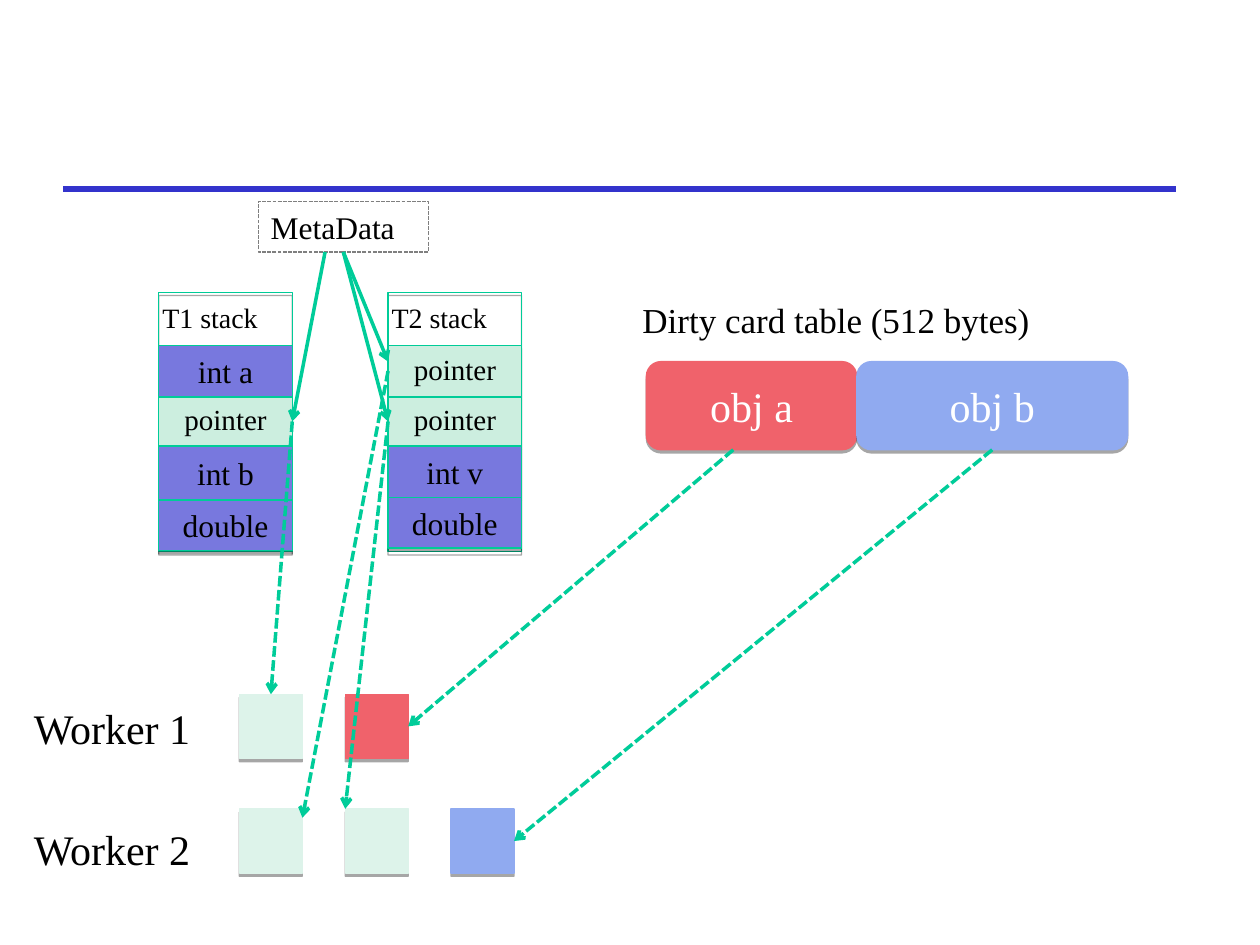
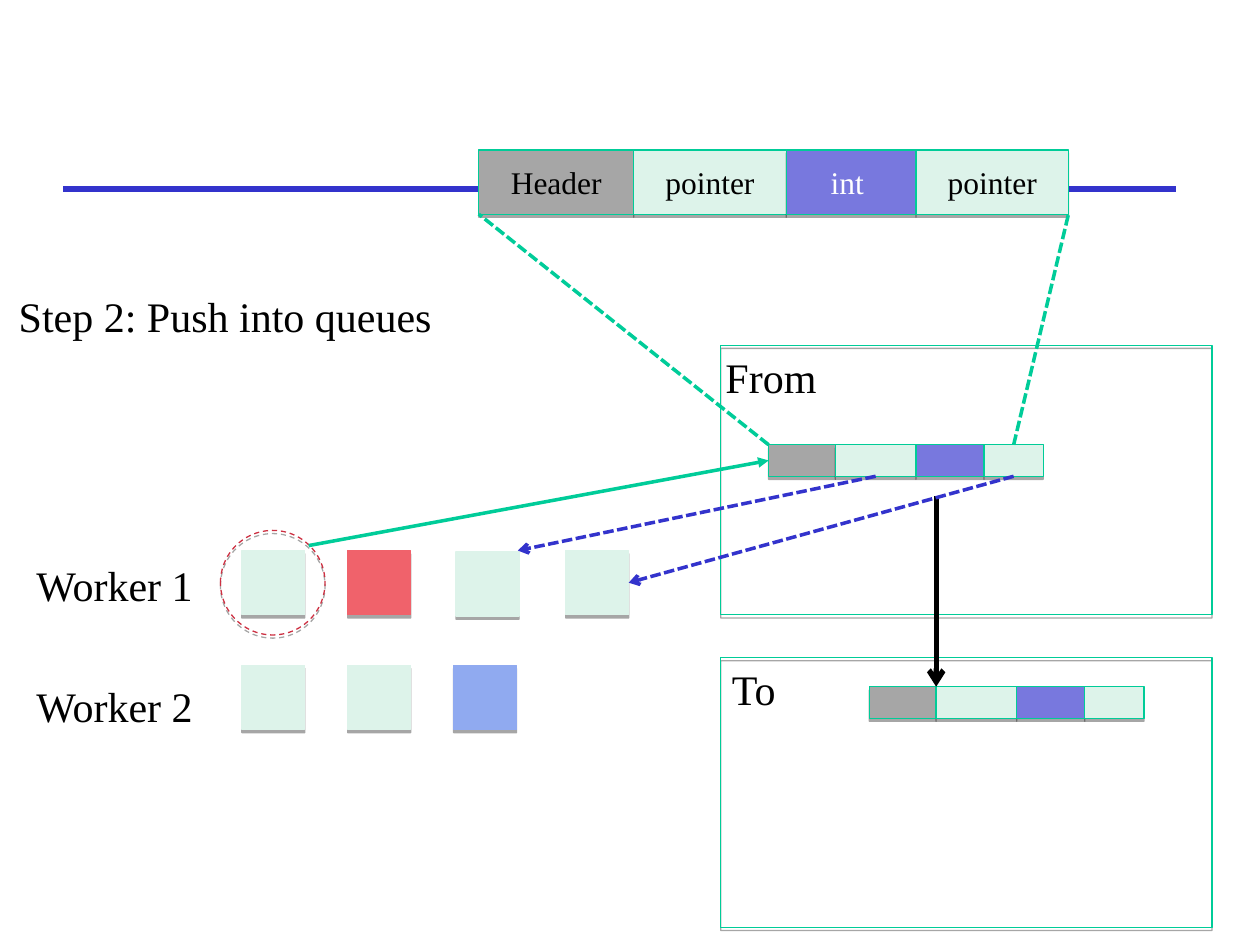
from dataclasses import dataclass
from itertools import accumulate
from typing import NamedTuple, Optional, Union

import pptx
import pptx.dml.color
import pptx.enum.dml
import pptx.enum.shapes
import pptx.enum.text
import pptx.oxml.ns
import pptx.util
from lxml import etree
from pptx.dml.color import RGBColor

COLUMNS, ROWS = 100, 75
SLIDE_WIDTH, SLIDE_HEIGHT = pptx.util.Inches(10), pptx.util.Inches(7.5)

FONT = "Times New Roman"
BLACK = RGBColor(0x00, 0x00, 0x00)
WHITE = RGBColor(0xFF, 0xFF, 0xFF)
BLUE = RGBColor(0x33, 0x33, 0xCC)
GREEN_OUTLINE = RGBColor(0x00, 0xCC, 0x98)
GREEN_ARROW = RGBColor(0x00, 0xCC, 0x99)
MINT = RGBColor(0xCC, 0xEE, 0xDF)
PALE_MINT = RGBColor(0xDD, 0xF3, 0xEA)
VIOLET = RGBColor(0x78, 0x78, 0xDE)
RED = RGBColor(0xF0, 0x62, 0x6B)
DARK_RED = RGBColor(0xCD, 0x30, 0x42)
SKY = RGBColor(0x90, 0xAA, 0xF0)
GREY = RGBColor(0xA6, 0xA6, 0xA6)
DARK_GREY = RGBColor(0x7F, 0x7F, 0x7F)

Shape = pptx.enum.shapes.MSO_SHAPE
Dash = pptx.enum.dml.MSO_LINE
Align = pptx.enum.text.PP_ALIGN
TOP, LEFT, BOTTOM, RIGHT = range(4)
SQUARE_WIDTH, SQUARE_HEIGHT = 5.0, 5.1
SQUARE_PITCH, WORKER_PITCH = 8.4, 9.1


class Box(NamedTuple):
    """Place and size in grid columns and rows."""
    left: float
    top: float
    width: float
    height: float


class Point(NamedTuple):
    column: float
    row: float


class Site(NamedTuple):
    """Middle of one side of a shape."""
    shape: pptx.shapes.autoshape.Shape
    side: int


@dataclass(frozen=True)
class Label:
    text: str
    size: float = 18
    color: RGBColor = BLACK
    line_spacing: Optional[float] = None


@dataclass(frozen=True)
class Cell:
    extent: float
    fill: RGBColor
    label: Optional[Label] = None


@dataclass(frozen=True)
class Stroke:
    color: RGBColor = GREEN_ARROW
    width: float = 2
    dash: Optional[pptx.enum.dml.MSO_LINE] = None
    head: Optional[str] = "arrow"


SOLID = Stroke()
DASHED = Stroke(dash=Dash.SQUARE_DOT)
ZOOM = Stroke(dash=Dash.SQUARE_DOT, head=None)
PUSH = Stroke(color=BLUE, dash=Dash.SQUARE_DOT)
POINTER = Label("pointer", 16.6, line_spacing=0.9)

THREAD_STACKS = {
    "T1 stack": (12.6, (Cell(4.1, VIOLET, Label("int a")), Cell(3.9, MINT, POINTER),
                        Cell(4.3, VIOLET, Label("int b")), Cell(4, VIOLET, Label("double")))),
    "T2 stack": (30.8, (Cell(4.1, MINT, POINTER), Cell(3.9, MINT, POINTER),
                        Cell(4.1, VIOLET, Label("int v")), Cell(4, VIOLET, Label("double")))),
}
OBJECT_LAYOUT = (Cell(12.3, GREY, Label("Header")), Cell(12.1, PALE_MINT, Label("pointer")),
                 Cell(10.3, VIOLET, Label("int ", color=WHITE)),
                 Cell(12.1, PALE_MINT, Label("pointer")))
SMALL_OBJECT = (Cell(5.3, GREY), Cell(6.4, PALE_MINT), Cell(5.4, VIOLET), Cell(4.7, PALE_MINT))
WORKER_QUEUES = ((PALE_MINT, RED), (PALE_MINT, PALE_MINT, SKY))


def across(columns: float) -> int:
    return round(SLIDE_WIDTH * columns / COLUMNS)


def down(rows: float) -> int:
    return round(SLIDE_HEIGHT * rows / ROWS)


def place(box: Box) -> tuple:
    return across(box.left), down(box.top), across(box.width), down(box.height)


def write(shape, label: Label, align=Align.LEFT, anchor=pptx.enum.text.MSO_ANCHOR.TOP) -> None:
    frame = shape.text_frame
    frame.word_wrap = True
    frame.vertical_anchor = anchor
    paragraph = frame.paragraphs[0]
    paragraph.alignment = align
    if label.line_spacing:
        paragraph.line_spacing = label.line_spacing
    run = paragraph.add_run()
    run.text = label.text
    run.font.name = FONT
    run.font.size = pptx.util.Pt(label.size)
    run.font.color.rgb = label.color


def add_text(slide, box: Box, label: Label) -> None:
    write(slide.shapes.add_textbox(*place(box)), label)


def add_shadow(shape) -> None:
    """Give the shape a hard grey shadow just below it."""
    effects = shape.element.spPr.find(pptx.oxml.ns.qn("a:effectLst"))
    shadow = etree.SubElement(effects, pptx.oxml.ns.qn("a:outerShdw"), blurRad="0",
                              dist=str(pptx.util.Pt(1.8)), dir="5400000", rotWithShape="0")
    color = etree.SubElement(shadow, pptx.oxml.ns.qn("a:srgbClr"), val=str(BLACK))
    etree.SubElement(color, pptx.oxml.ns.qn("a:alpha"), val="35000")


def add_box(slide, box: Box, fill: Optional[RGBColor] = None, outline: RGBColor = GREEN_OUTLINE,
            label: Optional[Label] = None, kind=Shape.RECTANGLE, dash=None, shadow: bool = True):
    shape = slide.shapes.add_shape(kind, *place(box))
    shape.shadow.inherit = False
    if shadow:
        add_shadow(shape)
    if fill is None:
        shape.fill.background()
    else:
        shape.fill.solid()
        shape.fill.fore_color.rgb = fill
    shape.line.color.rgb = outline
    shape.line.width = pptx.util.Pt(0.75)
    if dash:
        shape.line.dash_style = dash
    if label:
        write(shape, label, Align.CENTER, pptx.enum.text.MSO_ANCHOR.MIDDLE)
    return shape


def add_line(slide, start: Union[Point, Site], end: Union[Point, Site], stroke: Stroke) -> None:
    points = [point if isinstance(point, Point) else Point(0, 0) for point in (start, end)]
    connector = slide.shapes.add_connector(
        pptx.enum.shapes.MSO_CONNECTOR.STRAIGHT,
        *(length for point in points for length in (across(point.column), down(point.row))))
    if isinstance(start, Site):
        connector.begin_connect(start.shape, start.side)
    if isinstance(end, Site):
        connector.end_connect(end.shape, end.side)
    connector.line.color.rgb = stroke.color
    connector.line.width = pptx.util.Pt(stroke.width)
    if stroke.dash:
        connector.line.dash_style = stroke.dash
    properties = connector.element.spPr
    if stroke.head:
        outline = properties.find(pptx.oxml.ns.qn("a:ln"))
        etree.SubElement(outline, pptx.oxml.ns.qn("a:tailEnd"), type=stroke.head)
    etree.SubElement(properties, pptx.oxml.ns.qn("a:effectLst"))


def add_stack(slide, name: str, left: float, cells: tuple) -> list:
    add_box(slide, Box(left, 23.2, 10.6, 20.6))
    add_text(slide, Box(left - 0.7, 23.4, 10.6, 3.7), Label(name, 16))
    tops = accumulate((cell.extent for cell in cells), initial=27.4)
    return [add_box(slide, Box(left, top, 10.6, cell.extent), cell.fill, label=cell.label)
            for cell, top in zip(cells, tops)]


def add_record(slide, left: float, top: float, height: float, cells: tuple) -> list:
    """Draw the fields of an object side by side."""
    lefts = accumulate((cell.extent for cell in cells), initial=left)
    return [add_box(slide, Box(start, top, cell.extent, height), cell.fill, label=cell.label)
            for cell, start in zip(cells, lefts)]


def add_square(slide, left: float, top: float, color: RGBColor):
    return add_box(slide, Box(left, top, SQUARE_WIDTH, SQUARE_HEIGHT), color, color)


def add_workers(slide, left: float, top: float) -> list:
    queues = []
    for index, colors in enumerate(WORKER_QUEUES):
        row = top + index * WORKER_PITCH
        queues.append([add_square(slide, left + place_in_queue * SQUARE_PITCH, row, color)
                       for place_in_queue, color in enumerate(colors)])
        add_text(slide, Box(left - 17.3, row + 0.2 + 0.5 * index, 17, 5),
                 Label(f"Worker {index + 1}", 24))
    return queues


def add_slide(presentation):
    slide = presentation.slides.add_slide(presentation.slide_layouts[6])
    add_line(slide, Point(5, 15), Point(93.3, 15), Stroke(BLUE, 3, head=None))
    return slide


def build_roots_slide(presentation) -> None:
    slide = add_slide(presentation)
    first_stack, second_stack = (add_stack(slide, name, left, cells)
                                 for name, (left, cells) in THREAD_STACKS.items())
    add_text(slide, Box(50, 23.2, 37.8, 4.4), Label("Dirty card table (512 bytes)", 20))
    add_box(slide, Box(51.3, 28.7, 16.7, 7), RED, RED, Label("obj a", 24, WHITE),
            Shape.ROUNDED_RECTANGLE)
    object_b = add_box(slide, Box(68, 28.7, 21.5, 7), SKY, SKY, Label("obj b", 24, WHITE),
                       Shape.ROUNDED_RECTANGLE)
    metadata = add_box(slide, Box(20.5, 16, 13.5, 4), outline=DARK_GREY,
                       dash=Dash.SQUARE_DOT, shadow=False)
    write(metadata, Label("MetaData"))
    first_queue, second_queue = add_workers(slide, 19, 55.1)

    first_pointer = Site(first_stack[1], RIGHT)
    upper_pointer, lower_pointer = (Site(cell, LEFT) for cell in second_stack[:2])
    for start, end, stroke in (
        (Point(25.8, 20), first_pointer, SOLID),
        (Site(metadata, BOTTOM), Point(30.8, 28.7), SOLID),
        (Site(metadata, BOTTOM), lower_pointer, SOLID),
        (Point(58.2, 35.7), Site(first_queue[1], RIGHT), DASHED),
        (Site(object_b, BOTTOM), Site(second_queue[2], RIGHT), DASHED),
        (first_pointer, Site(first_queue[0], TOP), DASHED),
        (upper_pointer, Point(24, 64.9), DASHED),
        (lower_pointer, Point(27.4, 64.2), DASHED),
    ):
        add_line(slide, start, end, stroke)


def build_queues_slide(presentation) -> None:
    slide = add_slide(presentation)
    add_workers(slide, 19.2, 43.7)
    add_square(slide, 36.2, 43.8, PALE_MINT)
    last_square = add_square(slide, 44.9, 43.7, PALE_MINT)
    add_box(slide, Box(17.5, 42.1, 8.3, 8.3), outline=DARK_RED, kind=Shape.OVAL, dash=Dash.DASH)
    add_record(slide, 38, 11.9, 5.1, OBJECT_LAYOUT)
    add_text(slide, Box(0.5, 22.6, 40.5, 5), Label("Step 2: Push into queues", 24))
    for name, top, indent in (("From", 27.4, -0.6), ("To", 52.2, -0.1)):
        add_box(slide, Box(57.2, top, 39, 21.4))
        add_text(slide, Box(57.2 + indent, top, 10.6, 5), Label(name, 24))
    header, first_field, _, last_field = add_record(slide, 61, 35.3, 2.5, SMALL_OBJECT)
    add_record(slide, 69, 54.5, 2.5, SMALL_OBJECT)

    for start, end, stroke in (
        (Point(24.5, 43.3), Site(header, LEFT), Stroke(head="triangle")),
        (Point(61, 35.3), Point(38, 17), ZOOM),
        (Site(last_field, TOP), Point(84.8, 17), ZOOM),
        (Point(74.3, 39.4), Point(74.3, 54.5), Stroke(BLACK, 3)),
        (Site(first_field, BOTTOM), Point(41.1, 43.7), PUSH),
        (Site(last_field, BOTTOM), Site(last_square, RIGHT), PUSH),
    ):
        add_line(slide, start, end, stroke)


def main() -> None:
    presentation = pptx.Presentation()
    presentation.slide_width, presentation.slide_height = SLIDE_WIDTH, SLIDE_HEIGHT
    build_roots_slide(presentation)
    build_queues_slide(presentation)
    presentation.save("out.pptx")


if __name__ == "__main__":
    main()
